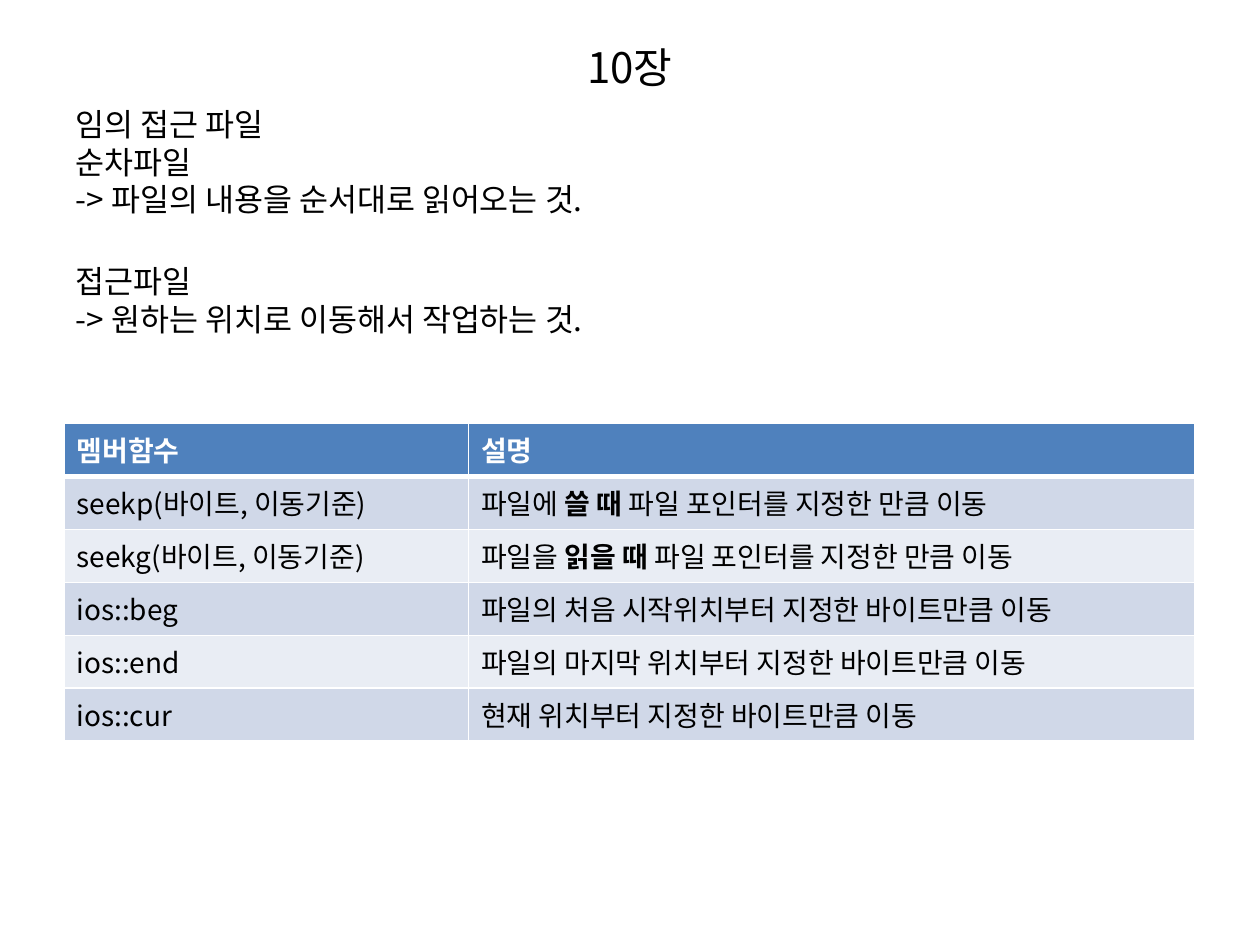
from dataclasses import dataclass

from lxml.etree import SubElement
from pptx import Presentation
from pptx.dml.color import RGBColor as Color
from pptx.enum.text import MSO_ANCHOR as Anchor, MSO_AUTO_SIZE as AutoSize, PP_ALIGN as Align
from pptx.oxml.ns import qn
from pptx.util import Inches, Pt


@dataclass(frozen=True)
class Theme:
    """Holds the colours, font and type sizes of the slide."""
    font: str = "Noto Sans CJK KR"
    text: str = "000000"
    light: str = "FFFFFF"
    header: str = "4F81BD"
    bands: tuple = ("D0D8E8", "E9EDF4")
    title_size: int = 24
    body_size: int = 18
    table_size: int = 16


THEME = Theme()
TITLE = "10장"
SECTIONS = [
    ["임의 접근 파일", "순차파일", "-> 파일의 내용을 순서대로 읽어오는 것."],
    ["접근파일", "-> 원하는 위치로 이동해서 작업하는 것."],
]
HEADINGS = ["멤버함수", "설명"]
FUNCTIONS = [
    ["seekp(바이트, 이동기준)", ("파일에 ", "쓸 때", " 파일 포인터를 지정한 만큼 이동")],
    ["seekg(바이트, 이동기준)", ("파일을 ", "읽을 때 ", "파일 포인터를 지정한 만큼 이동")],
    ["ios::beg", "파일의 처음 시작위치부터 지정한 바이트만큼 이동"],
    ["ios::end", "파일의 마지막 위치부터 지정한 바이트만큼 이동"],
    ["ios::cur", "현재 위치부터 지정한 바이트만큼 이동"],
]


def apply(target, values):
    """Set each attribute named in values on the target."""
    for name, value in values.items():
        setattr(target, name, value)


def place(shape, box):
    """Move a shape to a box of left, top, width and height in inches."""
    names = ("left", "top", "width", "height")
    apply(shape, dict(zip(names, map(Inches, box))))


def add_run(paragraph, text, size, color, bold=False):
    """Append a run in the theme font for Latin and Korean text."""
    run = paragraph.add_run()
    run.text = text
    apply(run.font, {"name": THEME.font, "size": Pt(size), "bold": bold})
    run.font.color.rgb = Color.from_string(color)
    SubElement(run.font._element, qn("a:ea"), typeface=THEME.font)


def fill_title(shape, box):
    """Write the centred chapter title."""
    place(shape, box)
    frame = shape.text_frame
    apply(frame, {"auto_size": AutoSize.NONE, "vertical_anchor": Anchor.MIDDLE, "word_wrap": True})
    paragraph = frame.paragraphs[0]
    paragraph.alignment = Align.CENTER
    add_run(paragraph, TITLE, THEME.title_size, THEME.text)


def fill_body(shape, box):
    """Write the sections without bullets, parted by paragraph spacing."""
    place(shape, box)
    frame = shape.text_frame
    apply(frame, {"auto_size": AutoSize.NONE, "vertical_anchor": Anchor.TOP, "word_wrap": True})
    for section_index, section in enumerate(SECTIONS):
        for line_index, line in enumerate(section):
            first = section_index == line_index == 0
            paragraph = frame.paragraphs[0] if first else frame.add_paragraph()
            opens_section = section_index > 0 and line_index == 0
            spacing = Pt(29.4 if opens_section else 4.3)
            apply(paragraph, {"space_before": spacing, "line_spacing": 0.8})
            properties = paragraph._p.get_or_add_pPr()
            apply_indent = {"marL": "0", "indent": "0"}
            for name, value in apply_indent.items():
                properties.set(name, value)
            SubElement(properties, qn("a:buNone"))
            add_run(paragraph, line, THEME.body_size, THEME.text)


def set_border(properties, side, width):
    """Add one light cell border of a width in points."""
    line = SubElement(properties, qn(f"a:{side}"), w=str(Pt(width)))
    SubElement(SubElement(line, qn("a:solidFill")), qn("a:srgbClr"), val=THEME.light)


def fill_cell(cell, content, row_index):
    """Write and colour a cell; the middle part of a tuple is bold."""
    is_header = row_index == 0
    color = THEME.light if is_header else THEME.text
    parts = (content,) if isinstance(content, str) else content
    for index, part in enumerate(parts):
        add_run(cell.text_frame.paragraphs[0], part, THEME.table_size, color, is_header or index == 1)
    properties = cell._tc.get_or_add_tcPr()
    widths = {"lnL": 1, "lnR": 1, "lnT": 3 if row_index == 1 else 1, "lnB": 3 if is_header else 1}
    for side, width in widths.items():
        set_border(properties, side, width)
    cell.fill.solid()
    background = THEME.header if is_header else THEME.bands[(row_index - 1) % 2]
    cell.fill.fore_color.rgb = Color.from_string(background)


def add_function_table(slide, box, column_widths):
    """Add the table of member functions with equal rows."""
    rows = [HEADINGS, *FUNCTIONS]
    table = slide.shapes.add_table(len(rows), len(HEADINGS), *map(Inches, box)).table
    for column, width in zip(table.columns, column_widths):
        column.width = Inches(width)
    for row_index, row in enumerate(rows):
        table.rows[row_index].height = Inches(box[3] / len(rows))
        for column_index, content in enumerate(row):
            fill_cell(table.cell(row_index, column_index), content, row_index)


def main():
    """Build and save the slide."""
    presentation = Presentation()
    apply(presentation, {"slide_width": Inches(10), "slide_height": Inches(7.5)})
    slide = presentation.slides.add_slide(presentation.slide_layouts[1])
    fill_title(slide.shapes.title, (0.5, 0.3, 9, 0.46))
    fill_body(slide.placeholders[1], (0.5, 0.84, 9, 5.86))
    add_function_table(slide, (0.51, 3.36, 8.97, 2.46), (3.21, 5.76))
    presentation.save("out.pptx")


if __name__ == "__main__":
    main()
